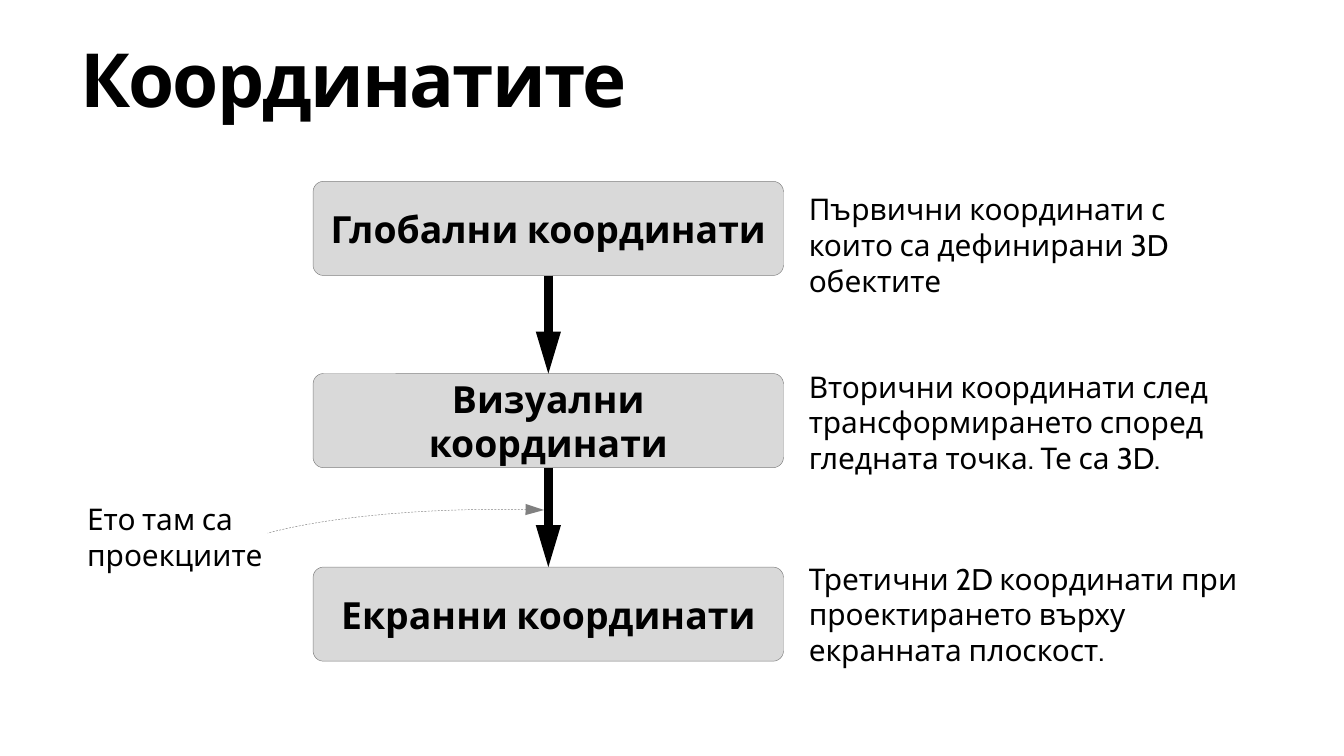
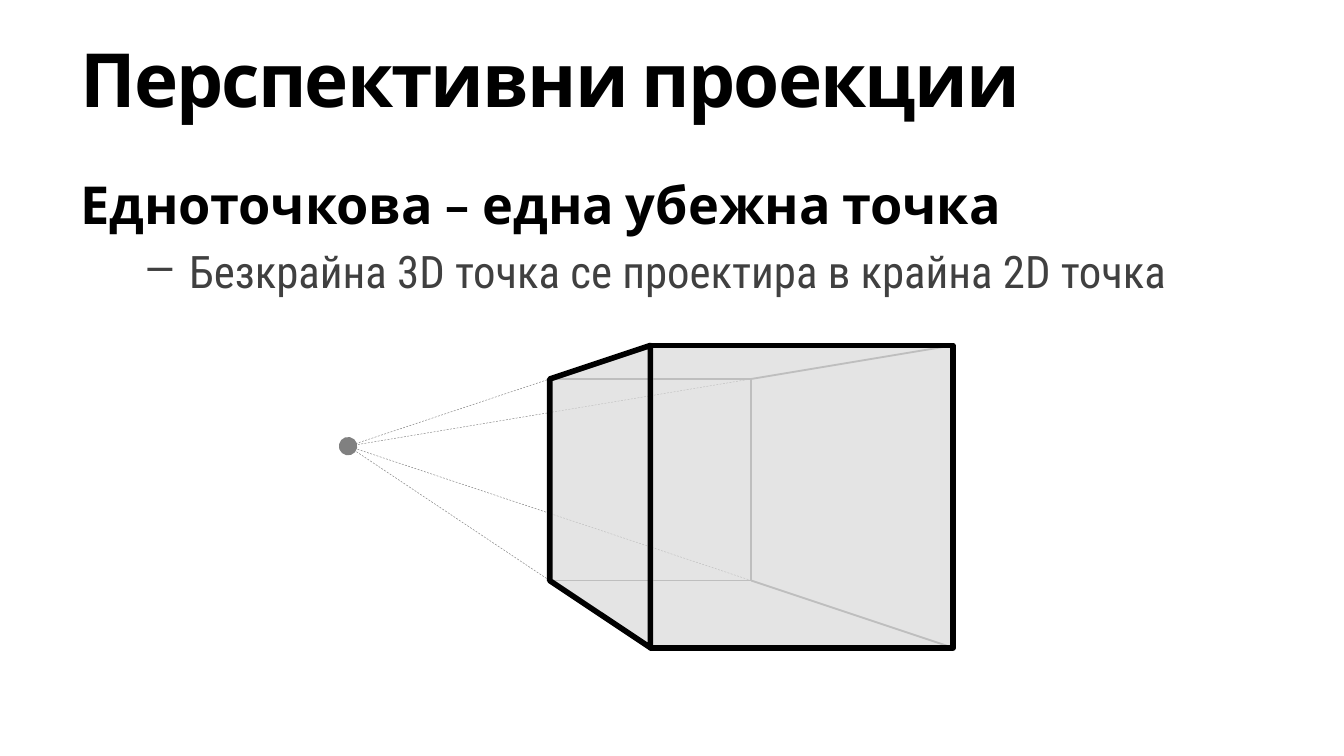
from lxml.etree import SubElement
from pptx import Presentation
from pptx.dml.color import RGBColor
from pptx.enum.dml import MSO_LINE as Dash
from pptx.enum.shapes import MSO_CONNECTOR as Conn, MSO_SHAPE as Shape
from pptx.enum.text import MSO_ANCHOR as Anchor, MSO_AUTO_SIZE as Fit, PP_ALIGN as Align
from pptx.oxml.ns import qn
from pptx.util import Inches, Pt

BLACK = RGBColor(0x00, 0x00, 0x00)
DARK = RGBColor(0x40, 0x40, 0x40)
GRAY = RGBColor(0x80, 0x80, 0x80)
LIGHT = RGBColor(0xD9, 0xD9, 0xD9)
FONT = "Cabin"


def write(par, text, size, bold=False, color=BLACK, name=FONT):
    par.text = text
    font = par.font
    font.size, font.bold, font.name = Pt(size), bold, name
    font.color.rgb = color


def link(slide, start, end, color, width, dash=False):
    line = slide.shapes.add_connector(
        Conn.STRAIGHT, *[Inches(v) for v in start + end])
    line.line.color.rgb = color
    line.line.width = Pt(width)
    if dash:
        line.line.dash_style = Dash.DASH
    SubElement(line._element.spPr, qn("a:effectLst"))
    return line


# Widescreen 16:9
prs = Presentation()
prs.slide_width, prs.slide_height = Inches(10), Inches(10 * 9 / 16)

# Slides with their titles
slides = []
for title in ("Координатите", "Перспективни проекции"):
    slide = prs.slides.add_slide(prs.slide_layouts[6])
    box = slide.shapes.add_textbox(Inches(0.5), Inches(0.15), Inches(9.5), Inches(0.85))
    frame = box.text_frame
    frame.word_wrap = True
    frame.vertical_anchor = Anchor.MIDDLE
    par = frame.paragraphs[0]
    write(par, title, 40, True)
    par._p.pPr.find(qn("a:defRPr")).set("spc", "-100")
    slides.append(slide)
first, second = slides

# Slide 1: coordinate stages
stages = [
    (1.35, "Глобални координати"),
    (2.78, "Визуални координати"),
    (4.22, "Екранни координати"),
]
boxes = []
for top, text in stages:
    box = first.shapes.add_shape(
        Shape.ROUNDED_RECTANGLE, Inches(2.33), Inches(top), Inches(3.5), Inches(0.7))
    box.adjustments[0] = 0.11
    box.shadow.inherit = False
    box.fill.solid()
    box.fill.fore_color.rgb = LIGHT
    box.line.color.rgb = GRAY
    box.line.width = Pt(0.25)
    frame = box.text_frame
    frame.word_wrap = True
    frame.vertical_anchor = Anchor.MIDDLE
    par = frame.paragraphs[0]
    par.alignment = Align.CENTER
    write(par, text, 20, True)
    boxes.append(box)

# Notes beside the stages
notes = [
    (5.92, 1.37, 3.5, 0.64, "Първични координати с които са дефинирани 3D обектите"),
    (5.92, 2.69, 3.5, 0.91,
     "Вторични координати след трансформирането според гледната точка. Те са 3D."),
    (5.92, 4.12, 3.5, 0.91,
     "Третични 2D координати при проектирането върху екранната плоскост."),
    (0.55, 3.68, 1.92, 0.64, "Ето там са\nпроекциите"),
]
for *area, text in notes:
    note = first.shapes.add_textbox(*[Inches(v) for v in area])
    note.text_frame.word_wrap = True
    note.text_frame.auto_size = Fit.SHAPE_TO_FIT_TEXT
    write(note.text_frame.paragraphs[0], text, 16)

# Curved pointer to the projections
arc = first.shapes.add_shape(
    Shape.ARC, Inches(1.51), Inches(3.79), Inches(4.42), Inches(0.94))
arc.adjustments[0], arc.adjustments[1] = 140.83, 210.22
arc._element.spPr.xfrm.set("flipH", "1")
arc.shadow.inherit = False
arc.fill.background()
arc.line.color.rgb = GRAY
arc.line.width = Pt(0.25)
arc.line.dash_style = Dash.DASH
SubElement(arc.line._get_or_add_ln(), qn("a:headEnd"), type="triangle", w="med", len="lg")

# Arrows between the stages
for upper, lower in zip(boxes, boxes[1:]):
    arrow = link(first, (4.08, 2.05), (4.08, 2.78), BLACK, 4.5)
    arrow.begin_connect(upper, 2)
    arrow.end_connect(lower, 0)
    SubElement(arrow.line._get_or_add_ln(), qn("a:tailEnd"),
               type="triangle", w="med", len="lg")

# Slide 2: body text
body = second.shapes.add_textbox(Inches(0.5), Inches(1.23), Inches(9.5), Inches(4.25))
frame = body.text_frame
frame.word_wrap = True
head = frame.paragraphs[0]
write(head, "Едноточкова – една убежна точка", 28, True)
item = frame.add_paragraph()
item.level = 1
item.space_before = Pt(4.8)
props = item._p.get_or_add_pPr()
props.set("marL", str(Inches(0.81)))
props.set("indent", str(-Inches(0.31)))
SubElement(props, qn("a:buChar"), char="–")
write(item, "Безкрайна 3D точка се проектира в крайна 2D точка", 24,
      color=DARK, name="Roboto Condensed")

# Corners of the box: far face is small, near face is large
eye = (2.59, 3.32)
left, mid, near, right = 4.09, 5.59, 4.84, 7.09
high, low = 2.82, 4.32
top, base = 2.57, 4.82

# Rays from the vanishing point
rays = [link(second, eye, (x, y), GRAY, 0.25, True)
        for x in (left, mid) for y in (high, low)]
SubElement(rays[0].line._get_or_add_ln(), qn("a:headEnd"), type="oval", w="lg", len="lg")

# Hidden edges
for y, edge in ((high, top), (low, base)):
    link(second, (mid, y), (left, y), GRAY, 1)
    link(second, (mid, y), (right, edge), GRAY, 1)
link(second, (mid, high), (mid, low), GRAY, 1)

# Visible faces
faces = [
    [(near, top), (left, high), (left, low), (near, base)],
    [(right, top), (near, top), (near, base), (right, base)],
]
for face in faces:
    points = [(Inches(x), Inches(y)) for x, y in face]
    path = second.shapes.build_freeform(*points[0])
    path.add_line_segments(points[1:], close=True)
    side = path.convert_to_shape()
    side.shadow.inherit = False
    side.fill.solid()
    side.fill.fore_color.rgb = LIGHT
    tint = side._element.spPr.find(qn("a:solidFill")).find(qn("a:srgbClr"))
    SubElement(tint, qn("a:alpha"), val="70000")
    side.line.color.rgb = BLACK
    side.line.width = Pt(3)
    SubElement(side.line._get_or_add_ln(), qn("a:round"))

prs.save("out.pptx")
